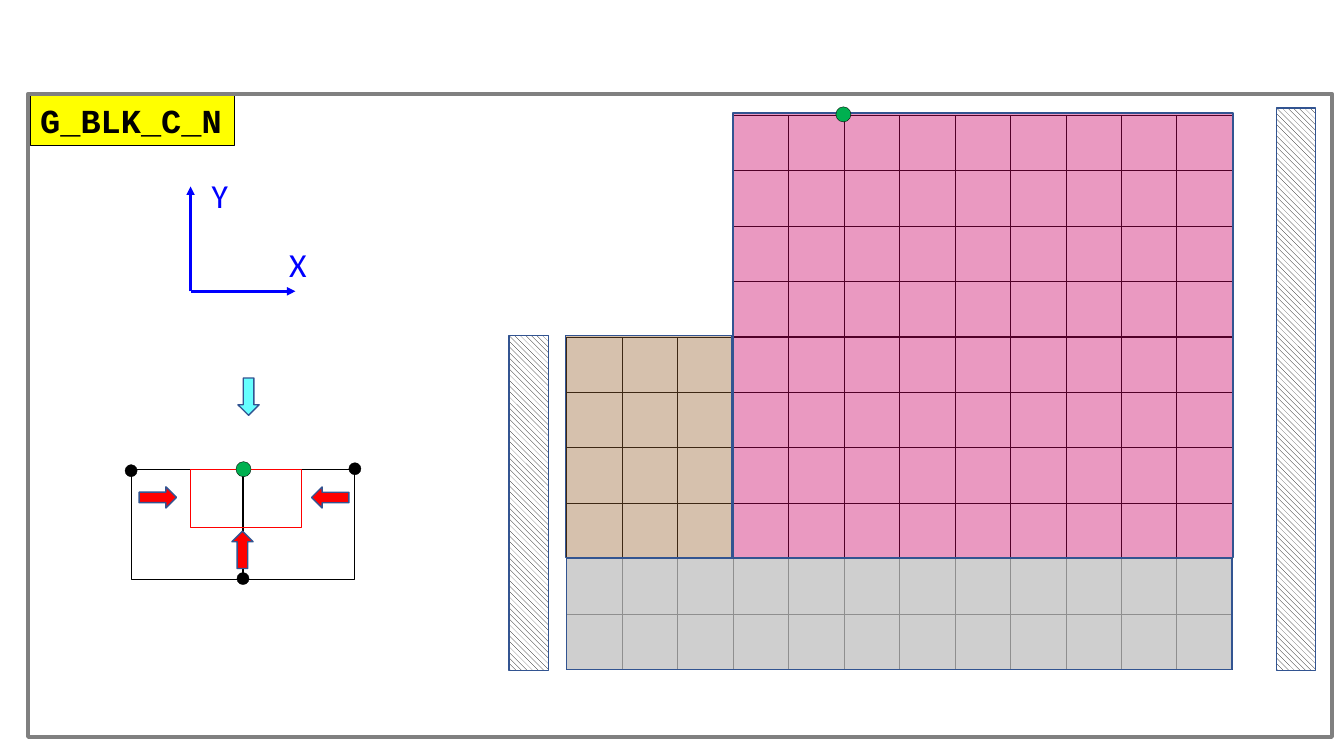
from pptx import Presentation
from pptx.dml.color import RGBColor
from pptx.enum.dml import MSO_PATTERN
from pptx.enum.shapes import MSO_CONNECTOR, MSO_SHAPE
from pptx.enum.text import MSO_ANCHOR, MSO_AUTO_SIZE, PP_ALIGN
from pptx.oxml.ns import qn
from pptx.util import Inches, Pt
from lxml.etree import SubElement

COLORS = {
    "black": "000000", "white": "FFFFFF", "navy": "325491", "red": "FF0000",
    "blue": "0000FF", "green": "00B050", "cyan": "66FFFF", "yellow": "FFFF00",
    "frame": "808080", "gray": "BFBFBF", "brown": "996633", "pink": "CC0066",
}
CELL = 0.55


def color(name):
    return RGBColor.from_string(COLORS[name])


def add_figure(kind, left, top, width, height, line="black", weight=0.25, fill=None, alpha=None):
    shape = page.shapes.add_shape(kind, Inches(left), Inches(top), Inches(width), Inches(height))
    shape.shadow.inherit = False
    shape.line.color.rgb = color(line)
    shape.line.width = Pt(weight)
    if fill is None:
        shape.fill.background()
    else:
        shape.fill.solid()
        shape.fill.fore_color.rgb = color(fill)
    if alpha is not None:
        solid = shape._element.spPr.find(qn("a:solidFill"))
        SubElement(solid[0], qn("a:alpha")).set("val", str(alpha * 1000))
    return shape


deck = Presentation()
deck.slide_width = Inches(13.33)
deck.slide_height = Inches(7.5)
page = deck.slides.add_slide(deck.slide_layouts[6])

grids = [(5.62, 5.54, 12, 2), (5.62, 3.34, 3, 4), (7.27, 1.14, 9, 8)]
for left, top, columns, rows in grids:
    for row in range(rows):
        for column in range(columns):
            add_figure(MSO_SHAPE.RECTANGLE, left + column * CELL, top + row * CELL, CELL, CELL)

blocks = [
    (5.62, 5.54, 6.6, 1.1, "gray", 75),
    (5.61, 3.33, 1.65, 2.2, "brown", 40),
    (7.27, 1.12, 4.96, 4.41, "pink", 40),
]
for left, top, width, height, fill, alpha in blocks:
    add_figure(MSO_SHAPE.RECTANGLE, left, top, width, height, "navy", 1, fill, alpha)

for left, top, height in [(5.05, 3.33, 3.32), (12.66, 1.07, 5.58)]:
    wall = add_figure(MSO_SHAPE.RECTANGLE, left, top, 0.39, height, "navy", 1)
    wall.fill.patterned()
    wall.fill.pattern = MSO_PATTERN.WIDE_DOWNWARD_DIAGONAL
    wall.fill.fore_color.rgb = color("black")
    wall.fill.back_color.rgb = color("white")

for left in (2.41, 1.3):
    add_figure(MSO_SHAPE.RECTANGLE, left, 4.65, 1.1, 1.1)
add_figure(MSO_SHAPE.RECTANGLE, 1.89, 4.65, 1.1, 0.58, "red")

for left, top in [(2.35, 5.68), (1.24, 4.61), (3.46, 4.59)]:
    add_figure(MSO_SHAPE.OVAL, left, top, 0.12, 0.12, fill="black")

arrows = [(2.36, 3.75, 180, "cyan"), (2.3, 5.27, 0, "red"), (3.17, 4.75, 270, "red"), (1.46, 4.75, 90, "red")]
for left, top, rotation, fill in arrows:
    arrow = add_figure(MSO_SHAPE.UP_ARROW, left, top, 0.21, 0.37, "navy", 1, fill)
    arrow.rotation = rotation

for end_x, end_y in [(2.93, 2.89), (1.89, 1.85)]:
    axis = page.shapes.add_connector(
        MSO_CONNECTOR.STRAIGHT, Inches(1.89), Inches(2.89), Inches(end_x), Inches(end_y))
    axis.line.color.rgb = color("blue")
    axis.line.width = Pt(2)
    SubElement(axis.line._get_or_add_ln(), qn("a:tailEnd")).set("type", "triangle")
    SubElement(axis._element.spPr, qn("a:effectLst"))

label = add_figure(MSO_SHAPE.RECTANGLE, 0.3, 0.94, 2.02, 0.5, fill="yellow")
axis_x = page.shapes.add_textbox(Inches(2.77), Inches(2.37), Inches(0.38), Inches(0.5))
axis_y = page.shapes.add_textbox(Inches(2), Inches(1.69), Inches(0.38), Inches(0.5))
texts = [
    (label, "G_BLK_C_N", "Courier New", "black", True),
    (axis_x, "X", "Calibri", "blue", False),
    (axis_y, "Y", "Calibri", "blue", False),
]
for box, words, font, ink, bold in texts:
    frame = box.text_frame
    frame.text = words
    frame.word_wrap = False
    frame.auto_size = MSO_AUTO_SIZE.SHAPE_TO_FIT_TEXT
    frame.vertical_anchor = MSO_ANCHOR.TOP
    para = frame.paragraphs[0]
    para.alignment = PP_ALIGN.LEFT
    span = para.runs[0]
    span.font.name = font
    span.font.size = Pt(24)
    span.font.bold = bold
    span.font.color.rgb = color(ink)

add_figure(MSO_SHAPE.RECTANGLE, 0.28, 0.93, 12.93, 6.38, "frame", 3)
for left, top in [(8.29, 1.06), (2.34, 4.58)]:
    add_figure(MSO_SHAPE.OVAL, left, top, 0.15, 0.15, fill="green")

deck.save("out.pptx")
